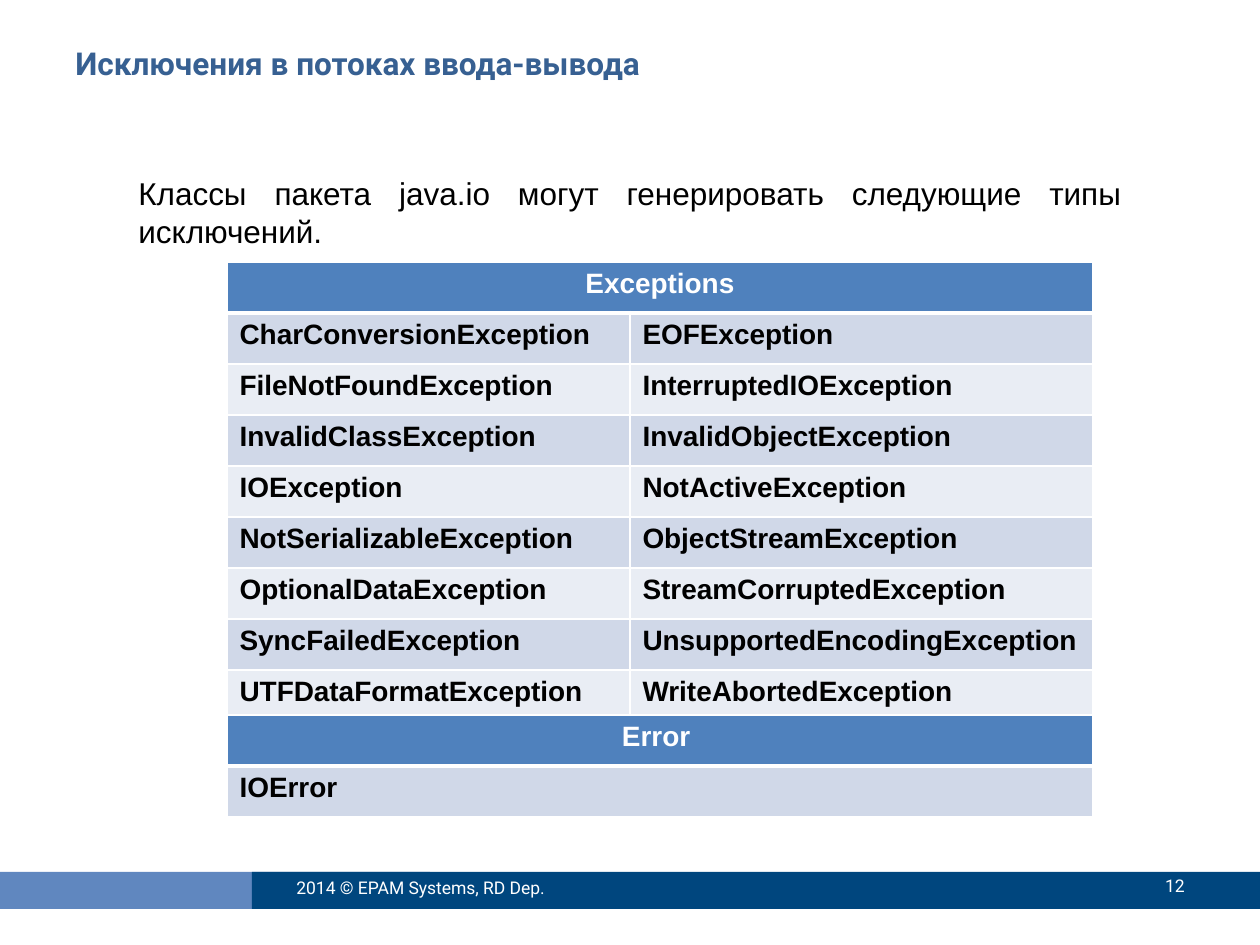
from lxml import etree
from pptx import Presentation
from pptx import util as u
from pptx.dml.color import RGBColor
from pptx.enum import shapes, text
from pptx.oxml.ns import qn

EMU_PER_PX = 914400 / 126
COLORS = {
    "white": "FFFFFF", "black": "000000", "title": "376092",
    "footer_light": "6087BF", "footer_dark": "00467E",
    "header": "4F81BD", "band_dark": "D0D8E8", "band_light": "E9EDF4",
}
EXCEPTIONS = [
    ("CharConversionException", "EOFException"),
    ("FileNotFoundException", "InterruptedIOException"),
    ("InvalidClassException", "InvalidObjectException"),
    ("IOException", "NotActiveException"),
    ("NotSerializableException", "ObjectStreamException"),
    ("OptionalDataException", "StreamCorruptedException"),
    ("SyncFailedException", "UnsupportedEncodingException"),
    ("UTFDataFormatException", "WriteAbortedException"),
]


def px(value):
    return u.Emu(round(value * EMU_PER_PX))


def color(name):
    return RGBColor.from_string(COLORS[name])


def write(frame, words, font="Arial", size=18, ink="black", bold=False,
          align=text.PP_ALIGN.LEFT):
    para = frame.paragraphs[0]
    para.alignment = align
    span = para.add_run()
    span.text = words
    span.font.name = font
    span.font.size = u.Pt(size)
    span.font.bold = bold
    span.font.color.rgb = color(ink)


def set_borders(cell, bottom):
    """Draw white cell borders, 1 pt wide except for the bottom one."""
    properties = cell._tc.get_or_add_tcPr()
    widths = {"lnL": 1, "lnR": 1, "lnT": 1, "lnB": bottom}
    for index, (side, width) in enumerate(widths.items()):
        line = etree.Element(qn(f"a:{side}"), w=str(u.Pt(width)))
        fill = etree.SubElement(line, qn("a:solidFill"))
        etree.SubElement(fill, qn("a:srgbClr"), val=COLORS["white"])
        properties.insert(index, line)


class Page:
    """Holds the current slide and adds styled elements to it."""

    def __init__(self, deck):
        self.slide = deck.slides.add_slide(deck.slide_layouts[6])

    def bar(self, left, top, width, height, fill):
        shape = self.slide.shapes.add_shape(
            shapes.MSO_SHAPE.RECTANGLE, *map(px, (left, top, width, height)))
        shape.shadow.inherit = False
        shape.fill.solid()
        shape.fill.fore_color.rgb = color(fill)
        shape.line.fill.background()

    def label(self, left, top, width, height, words,
              anchor=text.MSO_ANCHOR.TOP, **style):
        box = self.slide.shapes.add_textbox(
            *map(px, (left, top, width, height)))
        box.text_frame.word_wrap = True
        box.text_frame.vertical_anchor = anchor
        write(box.text_frame, words, **style)

    def table(self, left, top, widths, row_height, heading, rows):
        """Add a banded table under one heading that spans all columns."""
        count = len(rows) + 1
        table = self.slide.shapes.add_table(
            count, len(widths),
            *map(px, (left, top, sum(widths), row_height * count))).table
        for column, width in zip(table.columns, widths):
            column.width = px(width)
        for row in table.rows:
            row.height = px(row_height)
        if len(widths) > 1:
            table.cell(0, 0).merge(table.cell(0, len(widths) - 1))
        write(table.cell(0, 0).text_frame, heading, size=16, ink="white",
              bold=True, align=text.PP_ALIGN.CENTER)
        for row, names in enumerate(rows, 1):
            for column, name in enumerate(names):
                write(table.cell(row, column).text_frame, name,
                      size=16, bold=True)
        for row in range(count):
            band = "band_dark" if row % 2 else "band_light"
            for column in range(len(widths)):
                cell = table.cell(row, column)
                cell.fill.solid()
                cell.fill.fore_color.rgb = color(band if row else "header")
                set_borders(cell, bottom=1 if row else 3)


def main():
    deck = Presentation()
    deck.slide_width, deck.slide_height = px(1260), px(945)
    page = Page(deck)

    page.bar(-2, 872, 432, 37, "footer_light")
    page.bar(252, 872, 1008, 37, "footer_dark")

    page.label(63, 38, 1134, 98, "Исключения в потоках ввода-вывода",
               font="Roboto", ink="title", bold=True)
    page.label(126, 168, 1008, 662,
               "Классы пакета java.io могут генерировать следующие "
               "типы исключений.", align=text.PP_ALIGN.JUSTIFY)

    footer = dict(font="Roboto", size=10, ink="white",
                  anchor=text.MSO_ANCHOR.MIDDLE)
    page.label(284, 863, 336, 50, "2014 © EPAM Systems, RD Dep.", **footer)
    page.label(1061, 861, 136, 50, "12", align=text.PP_ALIGN.RIGHT, **footer)

    page.table(227, 262, (403, 463), 51, "Exceptions", EXCEPTIONS)
    page.table(227, 715, (866,), 51, "Error ", [("IOError",)])

    deck.save("out.pptx")


if __name__ == "__main__":
    main()
